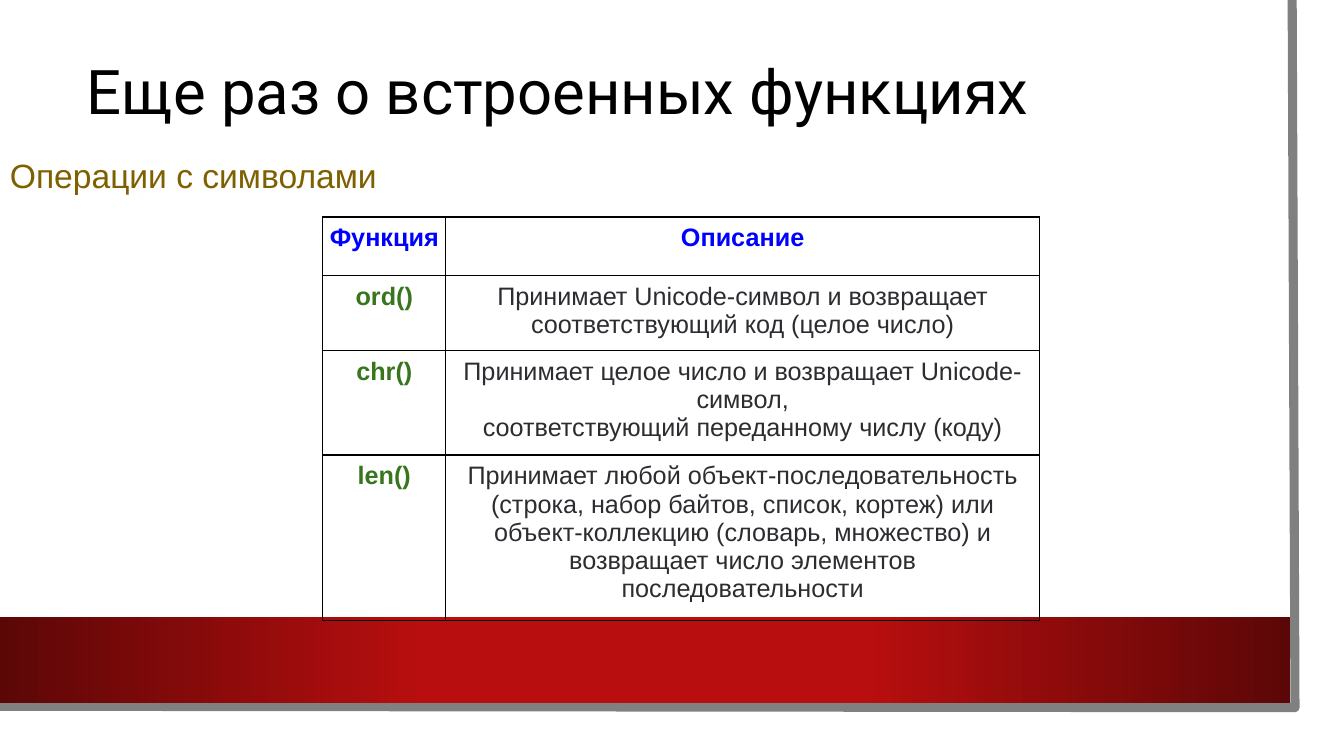
from lxml.etree import SubElement
from pptx import Presentation
from pptx.dml.color import RGBColor
from pptx.enum.shapes import MSO_SHAPE as Shape
from pptx.enum.text import MSO_ANCHOR as Anchor, PP_ALIGN as Align
from pptx.oxml import parse_xml
from pptx.oxml.ns import nsdecls, qn
from pptx.util import Pt

COLORS = {
    "white": "FFFFFF", "black": "000000", "frame": "808080",
    "red": "B80E0F", "dark_red": "5C0707", "olive": "7F6000",
    "blue": "0000FF", "green": "38761D", "body": "2C2D30",
}
BAND_STOPS = [(0, "dark_red"), (33, "red"), (67, "red"), (100, "dark_red")]
COLUMN_WIDTHS = [88, 424]
ROW_HEIGHTS = [42, 50.5, 70.5, 111]
FUNCTIONS = [
    ("Функция", "Описание"),
    ("ord()", "Принимает Unicode-символ и возвращает соответствующий код (целое число)"),
    ("chr()", "Принимает целое число и возвращает Unicode-символ,\n"
              "соответствующий переданному числу (коду)"),
    ("len()", "Принимает любой объект-последовательность (строка, набор байтов, "
              "список, кортеж) или объект-коллекцию (словарь, множество) и "
              "возвращает число элементов последовательности"),
]


def rgb(name):
    return RGBColor.from_string(COLORS[name])


def set_all(target, values):
    for name, value in values.items():
        setattr(target, name, value)


def style_font(font, color, **values):
    set_all(font, values)
    font.color.rgb = rgb(color)


def add_panel(page, left, top, width, height, color):
    panel = page.shapes.add_shape(
        Shape.RECTANGLE, Pt(left), Pt(top), Pt(width), Pt(height))
    panel.shadow.inherit = False
    panel.fill.solid()
    panel.fill.fore_color.rgb = rgb(color)
    panel.line.fill.background()
    return panel


def add_band(page, left, top, width, height):
    band = add_panel(page, left, top, width, height, "red")
    band.fill.gradient()
    band.fill.gradient_angle = 0
    stops = band.fill.gradient_stops._gsLst
    for stop in list(stops):
        stops.remove(stop)
    for percent, color in BAND_STOPS:
        stop = SubElement(stops, qn("a:gs"), pos=str(percent * 1000))
        SubElement(stop, qn("a:srgbClr"), val=COLORS[color])


def add_frame(page, points, color, width):
    start, *others = [(Pt(x), Pt(y)) for x, y in points]
    builder = page.shapes.build_freeform(*start)
    builder.add_line_segments(others, close=False)
    frame = builder.convert_to_shape()
    frame.shadow.inherit = False
    frame.fill.background()
    frame.line.color.rgb = rgb(color)
    frame.line.width = Pt(width)


def add_heading(page, text, left, top, width, height, color, font, size):
    box = page.shapes.add_textbox(Pt(left), Pt(top), Pt(width), Pt(height))
    set_all(box.text_frame, {"word_wrap": True, "vertical_anchor": Anchor.BOTTOM})
    para = box.text_frame.paragraphs[0]
    para.line_spacing = 0.9
    span = para.add_run()
    span.text = text
    style_font(span.font, color, name=font, size=Pt(size))


def add_borders(cell):
    properties = cell._tc.get_or_add_tcPr()
    for index, side in enumerate(("lnL", "lnR", "lnT", "lnB")):
        properties.insert(index, parse_xml(
            f'<a:{side} {nsdecls("a")} w="{Pt(1)}"><a:solidFill>'
            f'<a:srgbClr val="{COLORS["black"]}"/></a:solidFill></a:{side}>'))


def fill_cell(cell, text, color, bold):
    margins = ("margin_left", "margin_top", "margin_right", "margin_bottom")
    set_all(cell, dict.fromkeys(margins, Pt(5)))
    cell.fill.background()
    add_borders(cell)
    cell.text = text
    for para in cell.text_frame.paragraphs:
        para.alignment = Align.CENTER
        for span in para.runs:
            style_font(span.font, color, name="Arial", size=Pt(18), bold=bold)


def add_function_table(page, left, top):
    table = page.shapes.add_table(
        len(FUNCTIONS), len(COLUMN_WIDTHS), Pt(left), Pt(top),
        Pt(sum(COLUMN_WIDTHS)), Pt(sum(ROW_HEIGHTS))).table
    set_all(table, {"first_row": False, "horz_banding": False})
    for column, width in zip(table.columns, COLUMN_WIDTHS):
        column.width = Pt(width)
    for row, height in zip(table.rows, ROW_HEIGHTS):
        row.height = Pt(height)
    for i, texts in enumerate(FUNCTIONS):
        for j, text in enumerate(texts):
            color = "blue" if i == 0 else ("green", "body")[j]
            fill_cell(table.cell(i, j), text, color, i == 0 or j == 0)


def main():
    deck = Presentation()
    set_all(deck, {"slide_width": Pt(960), "slide_height": Pt(540)})
    page = deck.slides.add_slide(deck.slide_layouts[6])
    add_panel(page, 0, 0, 943, 523.5, "white")
    add_frame(page, [(923, 0), (925, 505.5), (-2, 504.5)], "frame", 6.5)
    add_band(page, 0, 440.5, 921.5, 61.5)
    add_heading(page, "Еще раз о встроенных функциях",
                55, 33, 851, 62, "black", "Roboto", 44)
    add_heading(page, "Операции с символами",
                0, 120, 284.5, 23.5, "olive", "Arial", 24)
    add_function_table(page, 230.5, 155)
    deck.save("out.pptx")


if __name__ == "__main__":
    main()
